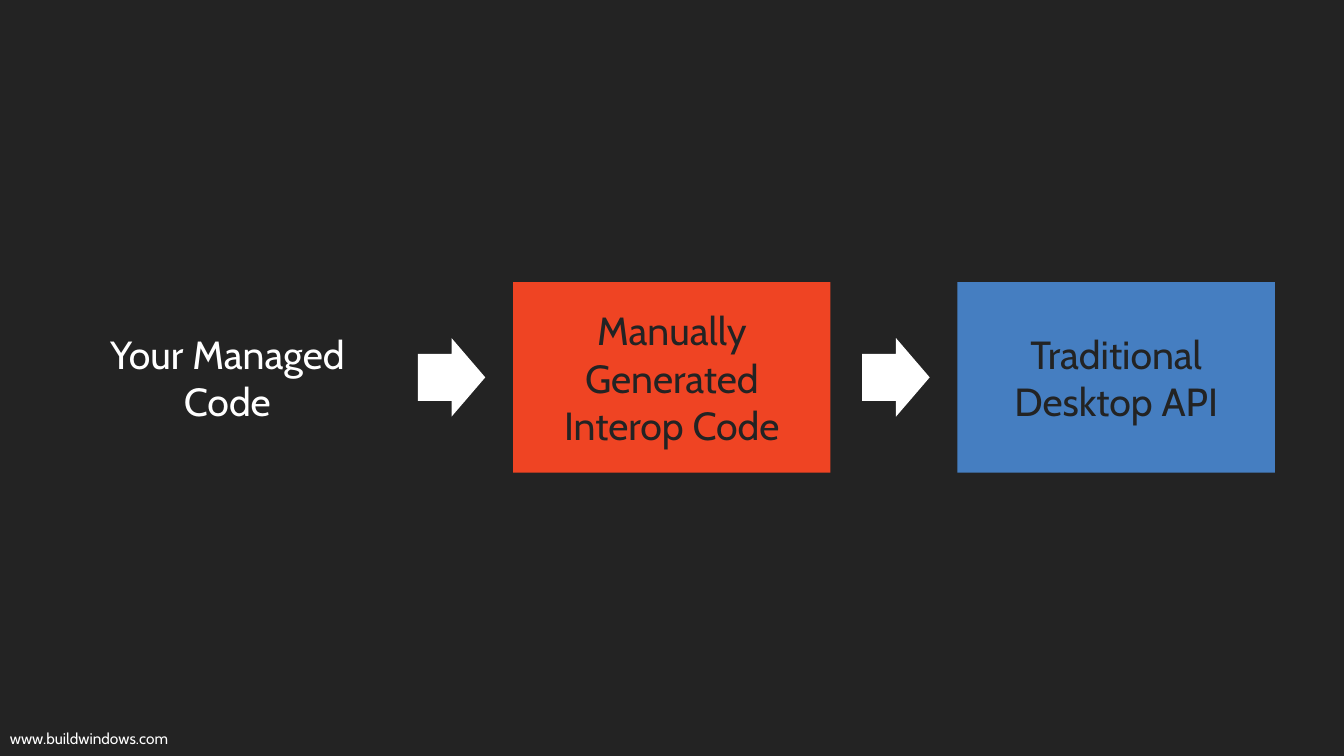
from pptx import Presentation
from pptx.dml.color import RGBColor
from pptx.enum.shapes import MSO_SHAPE as Kind
from pptx.enum.text import MSO_ANCHOR as Anchor, MSO_AUTO_SIZE as Fit, PP_ALIGN as Align
from pptx.util import Cm, Pt

DARK, WHITE, RED, BLUE = "232323", "FFFFFF", "EF4423", "457EC1"
FONT = "Cabin"

LEFT, TOP = 1.73, 7.11
BOX_W, BOX_H = 8, 4.8
PITCH = 11.2
TIP_W, TIP_H = 1.7, 1.98
TIP_GAP = 0.8

STEPS = [
    ("Your Managed Code", DARK, WHITE),
    ("Manually Generated Interop Code", RED, DARK),
    ("Traditional Desktop API", BLUE, DARK),
]


def paint(fill, color):
    fill.solid()
    fill.fore_color.rgb = RGBColor.from_string(color)


def write(frame, text, size, color):
    frame.text = text
    font = frame.paragraphs[0].runs[0].font
    font.name, font.size = FONT, Pt(size)
    font.color.rgb = RGBColor.from_string(color)


def add_solid(slide, kind, left, top, width, height, color):
    """Add a preset shape with a flat fill, no line and no shadow."""
    shape = slide.shapes.add_shape(kind, Cm(left), Cm(top), Cm(width), Cm(height))
    shape.shadow.inherit = False
    shape.line.fill.background()
    paint(shape.fill, color)
    return shape


def add_box(slide, left, text, fill, ink):
    box = add_solid(slide, Kind.RECTANGLE, left, TOP, BOX_W, BOX_H, fill)
    frame = box.text_frame
    frame.word_wrap = True
    frame.vertical_anchor = Anchor.MIDDLE
    frame.margin_left = frame.margin_right = Cm(0.33)
    frame.margin_top = frame.margin_bottom = Cm(0.18)
    write(frame, text, 28, ink)
    frame.paragraphs[0].alignment = Align.CENTER


def add_arrow(slide, left):
    top = TOP + (BOX_H - TIP_H) / 2
    arrow = add_solid(slide, Kind.RIGHT_ARROW, left, top, TIP_W, TIP_H, WHITE)
    arrow.adjustments[0] = 0.6
    arrow.adjustments[1] = 0.5


def add_footer(slide, text):
    box = slide.shapes.add_textbox(Cm(0), Cm(18.24), Cm(4.67), Cm(0.74))
    box.text_frame.word_wrap = False
    box.text_frame.auto_size = Fit.SHAPE_TO_FIT_TEXT
    write(box.text_frame, text, 11, WHITE)


def main():
    deck = Presentation()
    deck.slide_width, deck.slide_height = Cm(33.87), Cm(19.05)
    slide = deck.slides.add_slide(deck.slide_layouts[6])
    paint(slide.background.fill, DARK)

    add_footer(slide, "www.buildwindows.com")
    for i, (text, fill, ink) in enumerate(STEPS):
        left = LEFT + i * PITCH
        add_box(slide, left, text, fill, ink)
        if i < len(STEPS) - 1:
            add_arrow(slide, left + BOX_W + TIP_GAP)

    deck.save("out.pptx")


if __name__ == "__main__":
    main()
